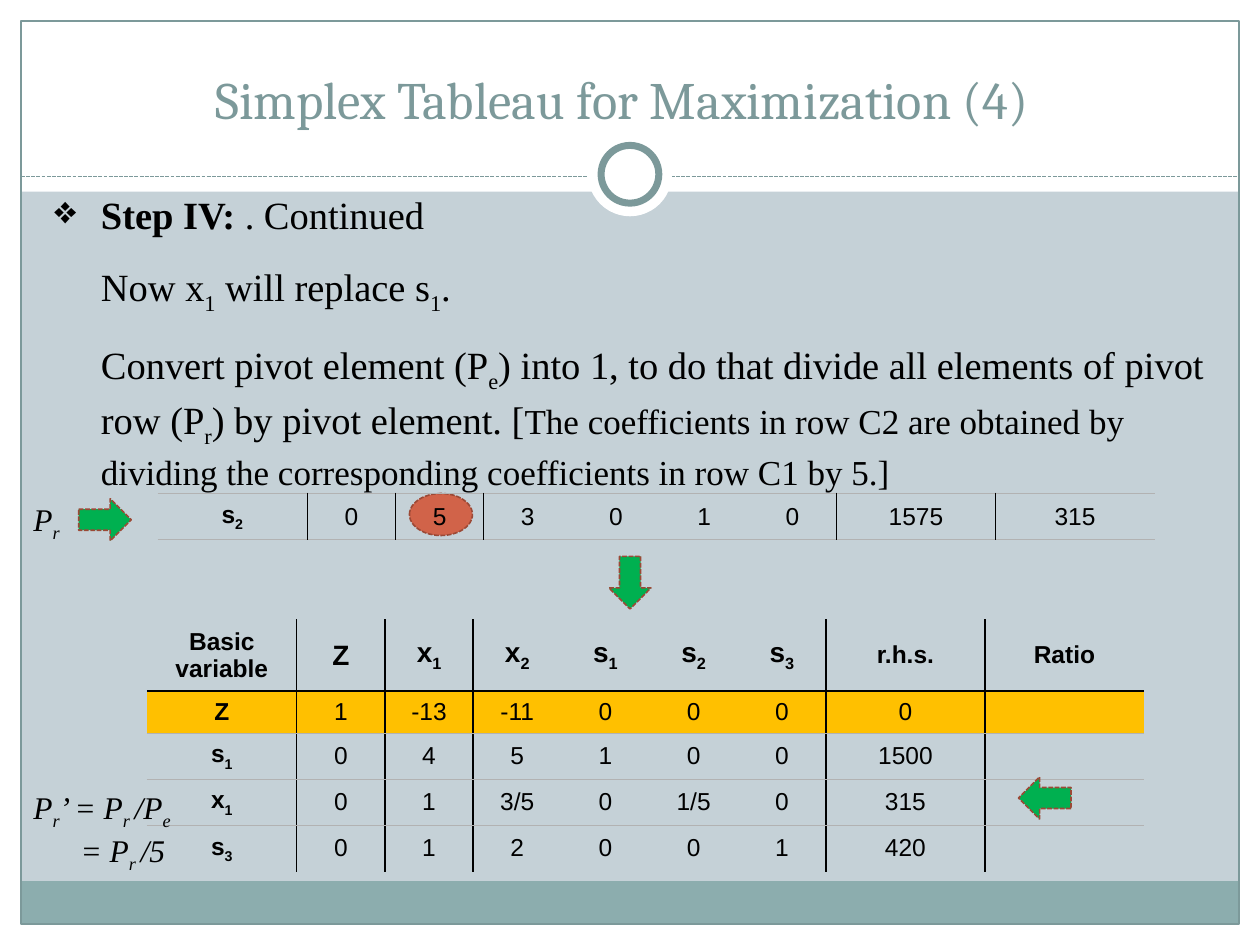
from lxml import etree
from pptx import Presentation
from pptx import util as u
from pptx.dml import color
from pptx.enum import dml, shapes, text
from pptx.oxml import ns

Pt, RGB = u.Pt, color.RGBColor
SHAPE = shapes.MSO_SHAPE
WHITE, BLACK = RGB(255, 255, 255), RGB(0, 0, 0)
PALE, TEAL, SLATE = RGB(0xC5, 0xD1, 0xD7), RGB(0x8C, 0xAD, 0xAE), RGB(0x7C, 0x99, 0x9A)
GRAY, GOLD, GREEN = RGB(0xB2, 0xB2, 0xB2), RGB(0xFF, 0xC0, 0), RGB(0, 0xB0, 0x50)
RUST, BROWN = RGB(0xD1, 0x63, 0x49), RGB(0x9B, 0x49, 0x36)
WIDE, TALL = 720, 540
COLS = [85.6] + [50.4] * 6 + [90.9] * 2
RULES = {0, 1, 6, 7}
PLAIN = "{2D5ABB26-0587-4C30-8999-92F81FD0307C}"
SERIF = {"name": "Times New Roman", "color": BLACK}

HEAD = ["Basic variable", "Z", "x~1", "x~2", "s~1", "s~2", "s~3", "r.h.s.", "Ratio"]
ROWS = [
    ["Z", "1", "-13", "-11", "0", "0", "0", "0", ""],
    ["s~1", "0", "4", "5", "1", "0", "0", "1500", ""],
    ["x~1", "0", "1", "3/5", "0", "1/5", "0", "315", ""],
    ["s~3", "0", "1", "2", "0", "0", "1", "420", ""],
]
PIVOT = ["s~2", "0", "5", "3", "0", "1", "0", "1575", "315"]


def style(font, form):
    """Set font attributes from a dict."""
    for key, val in form.items():
        if key == "color":
            font.color.rgb = val
        else:
            setattr(font, key, val)


def write(par, words, **form):
    """Add runs to a paragraph; tildes switch subscript on and off."""
    for num, part in enumerate(words.split("~")):
        if part:
            run = par.add_run()
            run.text = part
            style(run.font, form)
            if num % 2:
                run.font._element.set("baseline", "-25000")


def frame(slide, box):
    """Add a wrapping text box and return its text frame."""
    area = slide.shapes.add_textbox(*map(Pt, box)).text_frame
    area.word_wrap = True
    return area


def indent(par, left, hang=0, mark=None):
    """Set left margin, hanging indent and bullet in points."""
    props = par._p.get_or_add_pPr()
    props.set("marL", str(Pt(left)))
    props.set("indent", str(-Pt(hang)))
    if mark:
        etree.SubElement(props, ns.qn("a:buChar")).set("char", mark)


def draw(slide, kind, box, fill=None, line=None, width=0.75, dash=False, turn=0):
    """Add a preset shape."""
    item = slide.shapes.add_shape(kind, *map(Pt, box))
    item.shadow.inherit = False
    item.rotation = turn
    for part, tint in ((item.fill, fill), (item.line.fill, line)):
        if tint is None:
            part.background()
        else:
            part.solid()
            part.fore_color.rgb = tint
    if line is not None:
        item.line.width = Pt(width)
    if dash:
        item.line.dash_style = dml.MSO_LINE.SQUARE_DOT


def mark(slide, kind, box, fill, turn=0):
    """Add a dashed highlight shape."""
    draw(slide, kind, box, fill, BROWN, 0.9, True, turn)


def decor(slide, box):
    """Place the page frame, header band, rule and ring."""
    left, top, wide, tall = box
    right, base = left + wide, top + tall
    rect, oval = SHAPE.RECTANGLE, SHAPE.OVAL
    for edge in ((0, base, WIDE, TALL - base), (0, 0, WIDE, 109.5),
                 (0, 0, left, TALL), (right, 0, WIDE - right, TALL)):
        draw(slide, rect, edge, WHITE)
    draw(slide, rect, (left, base - 24.5, wide, 24.5), TEAL)
    draw(slide, rect, box, line=SLATE)
    rule = slide.shapes.add_connector(
        shapes.MSO_CONNECTOR.STRAIGHT, *map(Pt, (left, 100.8, right, 100.8)))
    rule.line.color.rgb = SLATE
    rule.line.width = Pt(0.75)
    rule.line.dash_style = dml.MSO_LINE.SQUARE_DOT
    etree.SubElement(rule._element.spPr, ns.qn("a:effectLst"))
    for size, line in ((48, None), (33, SLATE)):
        spot = (WIDE / 2 - size / 2, 99.6 - size / 2, size, size)
        draw(slide, oval, spot, WHITE, line, 4)


def title(slide, box):
    """Place the slide title."""
    area = frame(slide, box)
    area.vertical_anchor = text.MSO_ANCHOR.BOTTOM
    par = area.paragraphs[0]
    par.alignment = text.PP_ALIGN.CENTER
    write(par, "Simplex Tableau for Maximization (4)",
          name="Cambria", size=Pt(30), color=SLATE)


def body(slide, box):
    """Place the step explanation."""
    area = frame(slide, box)
    lines = [
        [("Step IV: ", 22, True), (". Continued", 22, False)],
        [("Now x~1~ will replace s~1~.", 22, False)],
        [("Convert pivot element (P~e~) into 1, to do that divide all elements "
          "of pivot row (P~r~) by pivot element. [", 22, False),
         ("The coefficients in row C2 are obtained by dividing the "
          "corresponding coefficients in row C1 by 5.]", 20, False)],
    ]
    for num, line in enumerate(lines):
        par = area.add_paragraph() if num else area.paragraphs[0]
        par.line_spacing = 1.05
        if num:
            par.space_before = Pt(13.2)
            indent(par, 26.6)
        else:
            indent(par, 26.6, 26.6, "❖")
        for words, size, bold in line:
            write(par, words, size=Pt(size), bold=bold, **SERIF)


def label(slide, box, lines):
    """Place an italic formula, with later lines indented."""
    area = frame(slide, box)
    for num, words in enumerate(lines):
        par = area.add_paragraph() if num else area.paragraphs[0]
        if num:
            indent(par, 27)
        write(par, words, size=Pt(18), italic=True, **SERIF)


def border(cell, side, tint):
    """Draw one cell border."""
    props = cell._tc.get_or_add_tcPr()
    line = etree.SubElement(props, ns.qn("a:ln" + side), w=str(Pt(1)))
    fill = etree.SubElement(line, ns.qn("a:solidFill"))
    etree.SubElement(fill, ns.qn("a:srgbClr"), val=str(tint))


def grid(slide, box, rows, highs, rules, head=False):
    """Place a tableau; rules holds the colour of each horizontal rule."""
    table = slide.shapes.add_table(len(rows), len(COLS), *map(Pt, box)).table
    table._tbl.tblPr.find(ns.qn("a:tableStyleId")).text = PLAIN
    table.first_row = table.horz_banding = False
    for col, wide in zip(table.columns, COLS):
        col.width = Pt(wide)
    for r, (row, high) in enumerate(zip(rows, highs)):
        table.rows[r].height = Pt(high)
        top = head and r == 0
        for c, words in enumerate(row):
            cell = table.cell(r, c)
            tints = {"L": BLACK if c - 1 in RULES else None,
                     "R": BLACK if c in RULES else None,
                     "T": rules[r], "B": rules[r + 1]}
            for side, tint in tints.items():
                if tint is not None:
                    border(cell, side, tint)
            if head and r == 1:
                cell.fill.solid()
                cell.fill.fore_color.rgb = GOLD
            else:
                cell.fill.background()
            cell.vertical_anchor = text.MSO_ANCHOR.MIDDLE
            par = cell.text_frame.paragraphs[0]
            par.alignment = text.PP_ALIGN.CENTER
            size = 16 if top and 0 < c < 7 else 14
            write(par, words, name="Arial", size=Pt(size),
                  bold=top or c == 0, color=BLACK)
            if not words:
                par._p.get_or_add_endParaRPr().set("sz", "1400")


def main():
    """Build and save the slide."""
    deck = Presentation()
    deck.slide_width, deck.slide_height = Pt(WIDE), Pt(TALL)
    slide = deck.slides.add_slide(deck.slide_layouts[6])
    slide.background.fill.solid()
    slide.background.fill.fore_color.rgb = PALE
    decor(slide, (12, 12, 696, 516))
    mark(slide, SHAPE.OVAL, (234, 282, 36, 24), RUST)
    title(slide, (19.5, 18, 672, 60))
    body(slide, (24, 104.4, 672, 213))
    grid(slide, (84, 354, 570, 143.9), [HEAD] + ROWS, [41, 24] + [26.3] * 3,
         [None, BLACK, GRAY, GRAY, GRAY, None], True)
    label(slide, (12, 447, 102, 51), ["P~r~’ = P~r ~/P~e", "= P~r ~/5"])
    grid(slide, (90, 282, 570, 26.3), [PIVOT], [26.3], [GRAY, GRAY])
    label(slide, (12, 282, 54, 29), ["P~r"])
    for left, top, turn in ((345, 321, 90), (45, 285, 0), (582, 444, 180)):
        mark(slide, SHAPE.RIGHT_ARROW, (left, top, 30, 24), GREEN, turn)
    deck.save("out.pptx")


if __name__ == "__main__":
    main()
